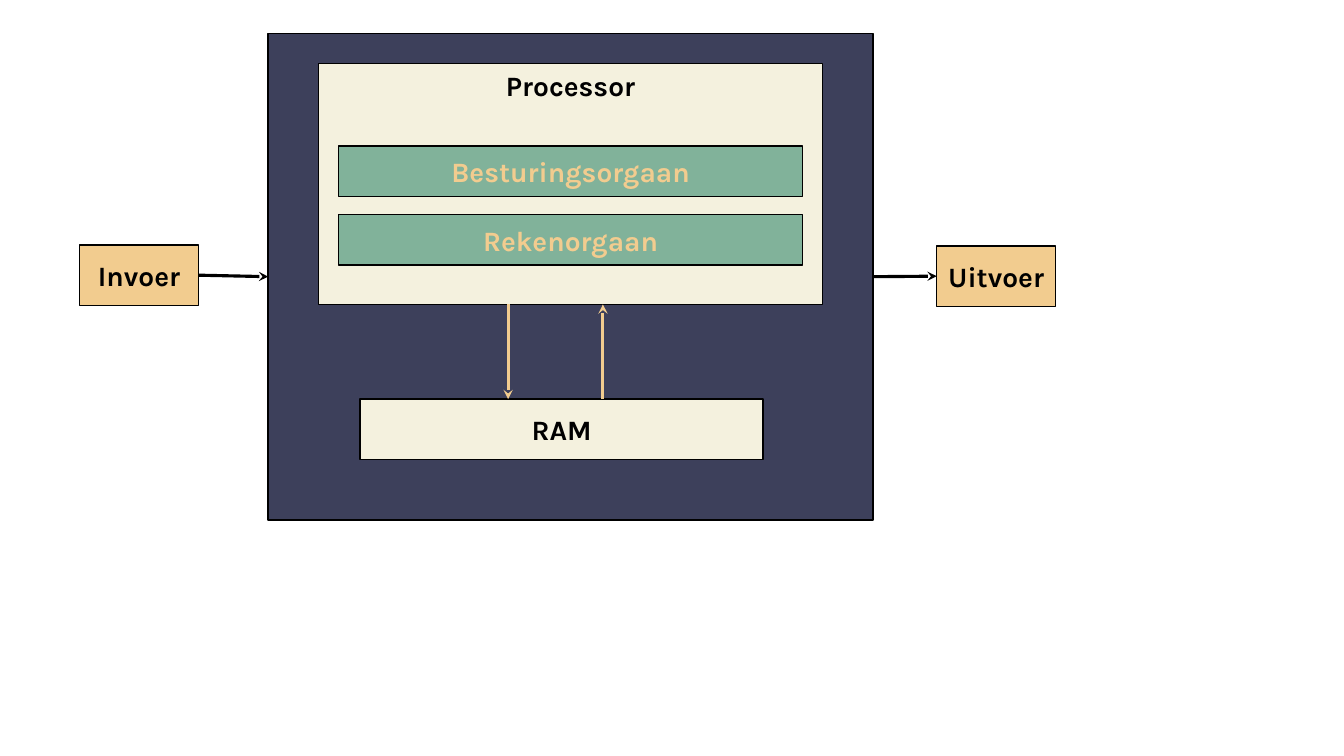
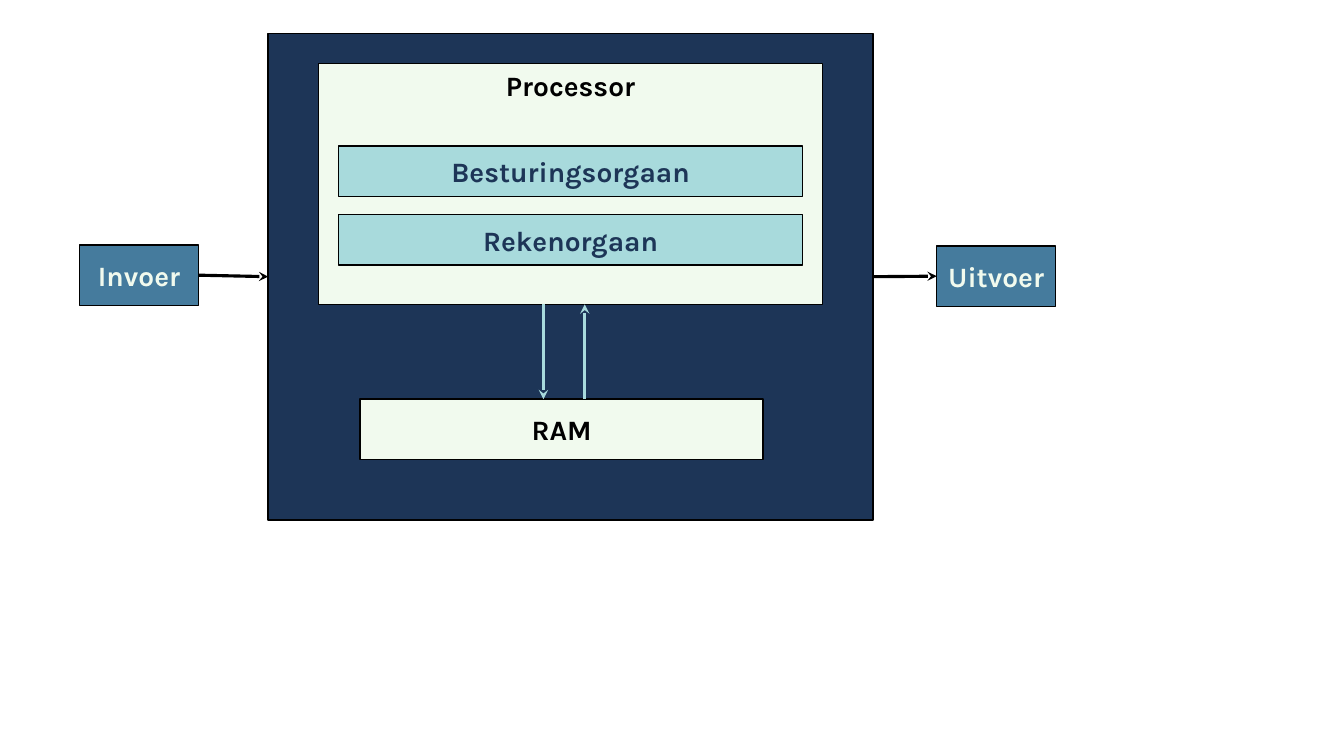
from lxml import etree
from pptx import Presentation
from pptx.dml.color import RGBColor
from pptx.enum.shapes import MSO_CONNECTOR, MSO_SHAPE
from pptx.enum.text import MSO_ANCHOR, PP_ALIGN
from pptx.oxml.ns import qn
from pptx.util import Pt

RECT = MSO_SHAPE.RECTANGLE
STRAIGHT = MSO_CONNECTOR.STRAIGHT
CENTER = PP_ALIGN.CENTER
TOP = MSO_ANCHOR.TOP
MIDDLE = MSO_ANCHOR.MIDDLE

PX = 9144
LEFT_SITE, RIGHT_SITE = 1, 3
FONT = "Karla"
BLACK = "000000"

WARM = {
    "computer": "3D405B",
    "panel": "F4F1DE",
    "unit": "81B29A",
    "unit_text": "F2CC8F",
    "port": "F2CC8F",
    "port_text": BLACK,
    "bus": "F2CC8F",
}
COOL = {
    "computer": "1D3557",
    "panel": "F1FAEE",
    "unit": "A8DADC",
    "unit_text": "1D3557",
    "port": "457B9D",
    "port_text": "F1FAEE",
    "bus": "A8DADC",
}


def rgb(hex_color):
    return RGBColor.from_string(hex_color)


def write(sp, text, color=BLACK, size=20, bold=True, anchor=MIDDLE):
    tf = sp.text_frame
    tf.word_wrap = True
    tf.vertical_anchor = anchor
    p = tf.paragraphs[0]
    p.alignment = CENTER
    r = p.add_run()
    r.text = text
    r.font.name = FONT
    r.font.size = Pt(size)
    r.font.bold = bold
    r.font.color.rgb = rgb(color)


class Deck:
    def __init__(self, width, height):
        self.prs = Presentation()
        self.prs.slide_width = width * PX
        self.prs.slide_height = height * PX

    def new_slide(self, colors):
        self.colors = colors
        self.s = self.prs.slides.add_slide(self.prs.slide_layouts[6])

    def box(self, x, y, w, h, fill, text=None, **text_format):
        sp = self.s.shapes.add_shape(RECT, x * PX, y * PX, w * PX, h * PX)
        sp.shadow.inherit = False
        sp.fill.solid()
        sp.fill.fore_color.rgb = rgb(self.colors[fill])
        sp.line.color.rgb = rgb(BLACK)
        sp.line.width = Pt(1)
        if text:
            write(sp, text, **text_format)
        return sp

    def unit(self, y, text):
        self.box(336, y, 460, 50, "unit", text, color=self.colors["unit_text"])

    def port(self, x, y, text):
        return self.box(x, y, 118, 60, "port", text, color=self.colors["port_text"])

    def arrow(self, x1, y1, x2, y2, color):
        cxn = self.s.shapes.add_connector(STRAIGHT, x1 * PX, y1 * PX, x2 * PX, y2 * PX)
        cxn.line.color.rgb = rgb(color)
        cxn.line.width = Pt(2.25)
        ln = cxn.line._get_or_add_ln()
        etree.SubElement(ln, qn("a:tailEnd"), type="stealth")
        etree.SubElement(cxn._element.spPr, qn("a:effectLst"))
        return cxn

    def link(self, source, target):
        cxn = self.arrow(0, 0, 0, 0, BLACK)
        cxn.begin_connect(source, RIGHT_SITE)
        cxn.end_connect(target, LEFT_SITE)

    def computer_diagram(self, colors, down_x, up_x):
        self.new_slide(colors)
        computer = self.box(266, 33, 600, 483, "computer")
        self.box(316, 63, 500, 239, "panel", "Processor", anchor=TOP)
        self.unit(145, "Besturingsorgaan")
        self.unit(213, "Rekenorgaan")
        self.box(357, 396, 400, 60, "panel", "RAM")
        invoer = self.port(79, 243, "Invoer")
        uitvoer = self.port(929, 244, "Uitvoer")
        self.arrow(down_x, 302, down_x, 396, colors["bus"])
        self.arrow(up_x, 396, up_x, 302, colors["bus"])
        self.link(invoer, computer)
        self.link(computer, uitvoer)


def main():
    deck = Deck(1333, 750)
    deck.computer_diagram(WARM, down_x=504, up_x=598)
    deck.computer_diagram(COOL, down_x=539, up_x=580)
    deck.prs.save("out.pptx")


if __name__ == "__main__":
    main()
